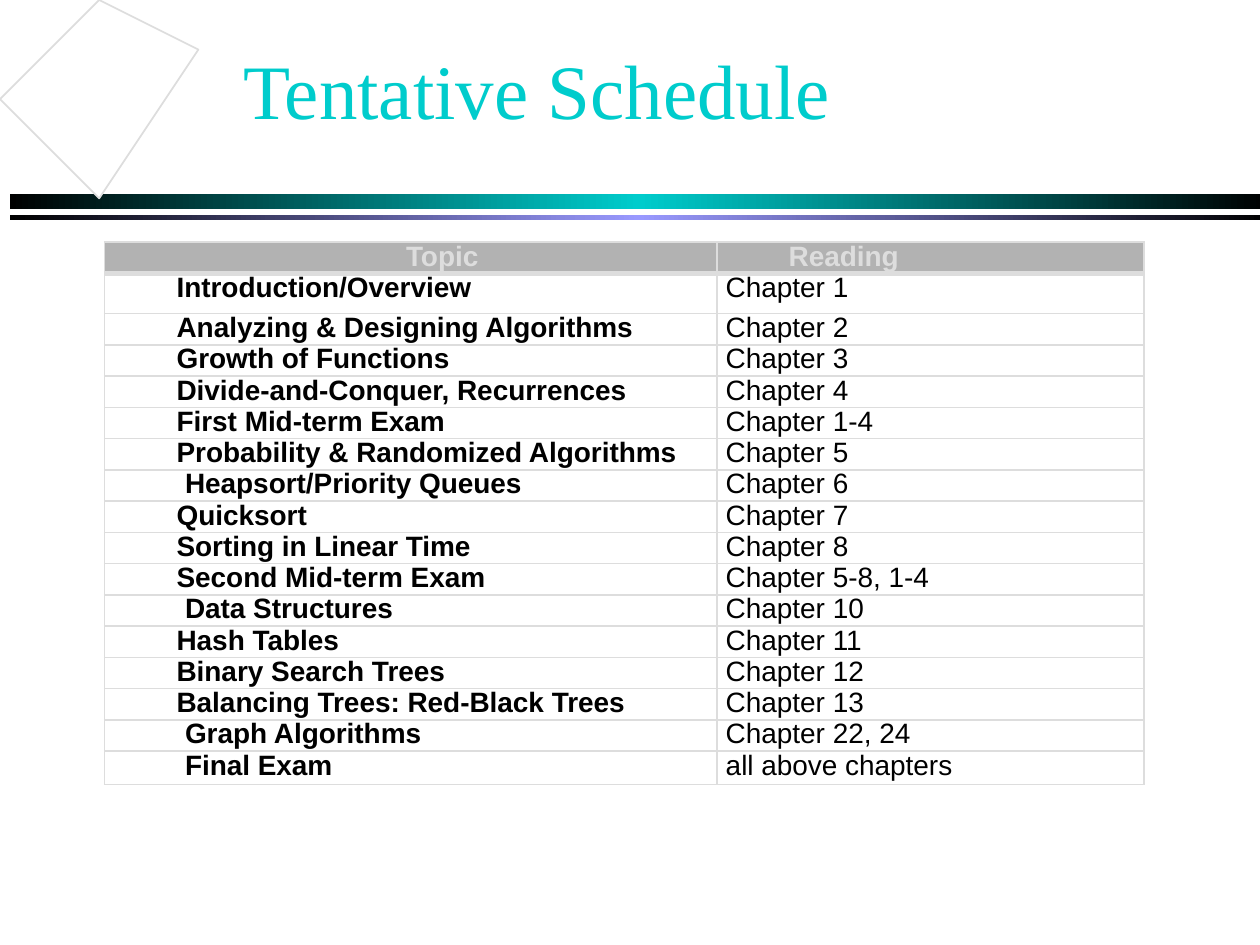
from copy import deepcopy

from lxml import etree
from pptx import Presentation
from pptx.dml.color import RGBColor
from pptx.enum.shapes import MSO_SHAPE
from pptx.enum.text import MSO_ANCHOR, PP_ALIGN
from pptx.oxml.ns import qn
from pptx.util import Cm, Pt

RECTANGLE = MSO_SHAPE.RECTANGLE
LEFT, CENTER = PP_ALIGN.LEFT, PP_ALIGN.CENTER
MIDDLE, TOP = MSO_ANCHOR.MIDDLE, MSO_ANCHOR.TOP
COLORS = {"black": "000000", "teal": "00CCCC", "violet": "9999FF",
          "rule": "DDDDDD", "header": "B2B2B2", "white": "FFFFFF"}


def rgb(name):
    return RGBColor.from_string(COLORS[name])


def write(frame, text, font="Arial", size=16, color="black", bold=False,
          align=LEFT, indent=0, spacing=1.0):
    paragraph = frame.paragraphs[0]
    paragraph.alignment = align
    paragraph.line_spacing = spacing
    properties = paragraph._p.get_or_add_pPr()
    properties.set("marL", str(Cm(indent)))
    properties.set("indent", "0")
    run = paragraph.add_run()
    run.text = text
    run.font.name, run.font.size, run.font.bold = font, Pt(size), bold
    run.font.color.rgb = rgb(color)
    return run


deck = Presentation()
deck.slide_width, deck.slide_height = Cm(25.4), Cm(19.05)
slide = deck.slides.add_slide(deck.slide_layouts[5])

# Gradient bars below the title
for top, height, middle in ((3.91, 0.31, "teal"), (4.34, 0.1, "violet")):
    bar = slide.shapes.add_shape(RECTANGLE, Cm(0.2), Cm(top), Cm(25.37), Cm(height))
    bar.shadow.inherit = False
    bar.line.fill.background()
    bar.fill.gradient()
    bar.fill.gradient_angle = 0
    stop_list = bar._element.spPr.find(qn("a:gradFill")).find(qn("a:gsLst"))
    stop_list.append(deepcopy(stop_list[0]))
    for stop, position, color in zip(bar.fill.gradient_stops, (0, 0.5, 1),
                                     ("black", middle, "black")):
        stop.position = position
        stop.color.rgb = rgb(color)

# Tilted outline in the corner
outline = slide.shapes.build_freeform(2.46, 3.84, scale=Cm(1))
outline.add_line_segments([(0.05, 1.8), (1.96, 0.15), (4.19, 1.45)], close=True)
diamond = outline.convert_to_shape()
diamond.shadow.inherit = False
diamond.fill.solid()
diamond.fill.fore_color.rgb = rgb("white")
diamond.line.color.rgb = rgb("rule")
diamond.line.width = Pt(1)

# Title with a text shadow
title = slide.shapes.title
title.left, title.top, title.width, title.height = Cm(4.65), Cm(0.2), Cm(21.59), Cm(3.18)
title.text_frame.vertical_anchor = MIDDLE
heading = write(title.text_frame, "Tentative Schedule", font="Times New Roman",
                size=44, color="teal")
effects = etree.Element(qn("a:effectLst"))
shadow = etree.SubElement(effects, qn("a:outerShdw"), dist="35921", dir="2700000")
etree.SubElement(shadow, qn("a:srgbClr"), val=COLORS["black"])
heading.font._element.find(qn("a:solidFill")).addnext(effects)

# Schedule: topic, reading, topic indent
NORMAL, DEEP = 1.27, 1.44
schedule = [
    ("Topic", "Reading", NORMAL),
    ("Introduction/Overview", "Chapter 1", NORMAL),
    ("Analyzing & Designing Algorithms", "Chapter 2", NORMAL),
    ("Growth of Functions", "Chapter 3", NORMAL),
    ("Divide-and-Conquer, Recurrences", "Chapter 4", NORMAL),
    ("First Mid-term Exam", "Chapter 1-4", NORMAL),
    ("Probability & Randomized Algorithms", "Chapter 5", NORMAL),
    ("Heapsort/Priority Queues", "Chapter 6", DEEP),
    ("Quicksort", "Chapter 7", NORMAL),
    ("Sorting in Linear Time", "Chapter 8", NORMAL),
    ("Second Mid-term Exam", "Chapter 5-8, 1-4", NORMAL),
    ("Data Structures", "Chapter 10", DEEP),
    ("Hash Tables", "Chapter 11", NORMAL),
    ("Binary Search Trees", "Chapter 12", NORMAL),
    ("Balancing Trees: Red-Black Trees", "Chapter 13", NORMAL),
    ("Graph Algorithms", "Chapter 22, 24", DEEP),
    ("Final Exam", "all above chapters", DEEP),
]
ROW_HEIGHT = 0.63
special_heights = {1: 0.81, len(schedule) - 1: 0.67}
table = slide.shapes.add_table(len(schedule), 2, Cm(2.11), Cm(4.88), Cm(20.95),
                               Cm(ROW_HEIGHT * len(schedule))).table
table.first_row = table.horz_banding = False
table.columns[0].width, table.columns[1].width = Cm(12.34), Cm(8.61)

for row, (topic, reading, topic_indent) in enumerate(schedule):
    table.rows[row].height = Cm(special_heights.get(row, ROW_HEIGHT))
    is_header = row == 0
    for column, text in enumerate((topic, reading)):
        cell = table.cell(row, column)
        cell.margin_left = cell.margin_right = Cm(0.18)
        cell.margin_top = cell.margin_bottom = 0
        cell.vertical_anchor = TOP
        is_topic = column == 0
        write(cell.text_frame, text, spacing=0.97,
              color="rule" if is_header else "black",
              bold=is_header or is_topic,
              align=CENTER if is_header and is_topic else LEFT,
              indent=topic_indent if is_header or is_topic else 0)
        if is_header:
            cell.fill.solid()
            cell.fill.fore_color.rgb = rgb("header")
        else:
            cell.fill.background()

        # Borders, with a thick rule under the header
        cell_properties = cell._tc.get_or_add_tcPr()
        for order, side in enumerate(("lnL", "lnR", "lnT", "lnB")):
            under_header = (row, side) in ((0, "lnB"), (1, "lnT"))
            border = etree.Element(qn(f"a:{side}"), w=str(Pt(3 if under_header else 1)))
            border_fill = etree.SubElement(border, qn("a:solidFill"))
            etree.SubElement(border_fill, qn("a:srgbClr"), val=COLORS["rule"])
            cell_properties.insert(order, border)

deck.save("out.pptx")
